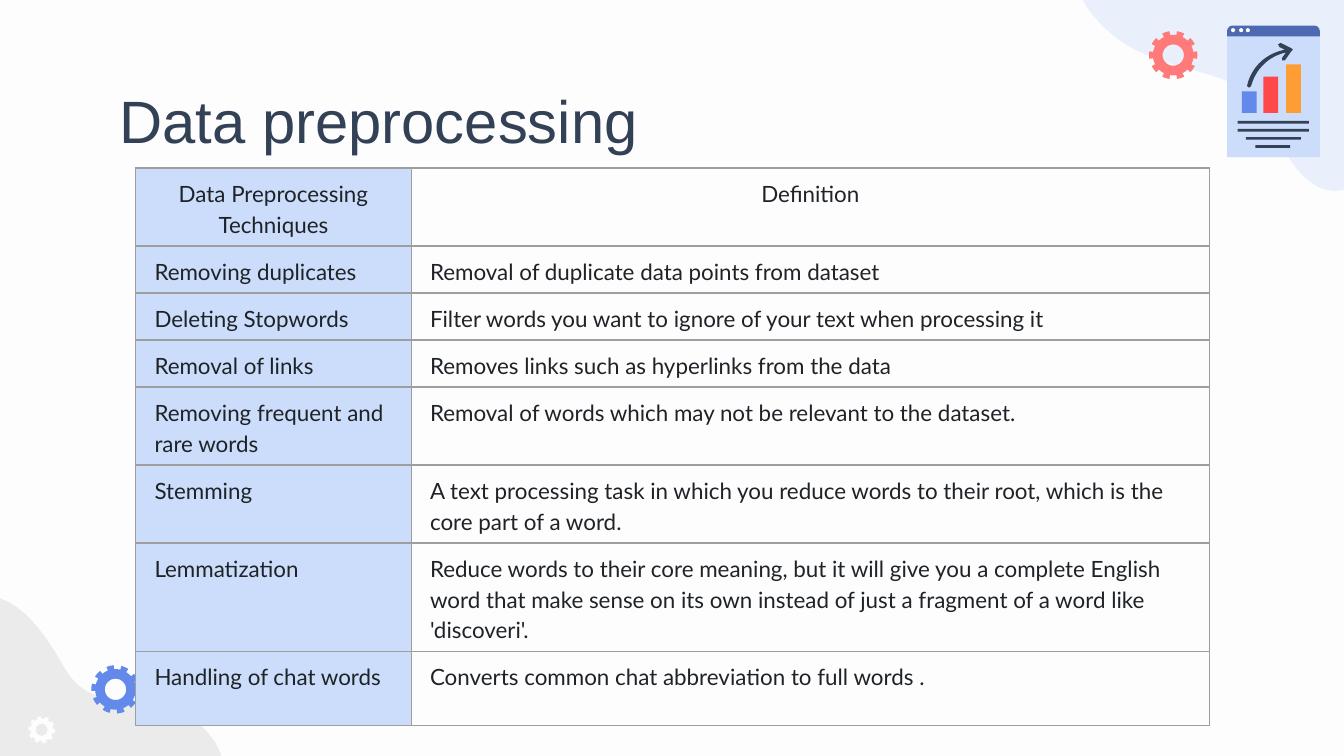
from math import cos, radians, sin

from lxml import etree
from pptx import Presentation
from pptx.dml.color import RGBColor
from pptx.enum.shapes import MSO_SHAPE
from pptx.enum.text import MSO_ANCHOR, MSO_AUTO_SIZE, PP_ALIGN
from pptx.oxml.ns import qn
from pptx.util import Pt

RECT, OVAL = MSO_SHAPE.RECTANGLE, MSO_SHAPE.OVAL
ROUND_TOP = MSO_SHAPE.ROUND_2_SAME_RECTANGLE
TOP, NO_FIT = MSO_ANCHOR.TOP, MSO_AUTO_SIZE.NONE
LEFT, CENTER = PP_ALIGN.LEFT, PP_ALIGN.CENTER

THEME = {
    "paper": "FDFDFD", "mist": "EBEBEB", "pale": "CBDDFA", "ink": "334157",
    "text": "1F2328", "border": "9E9E9E", "indigo": "4C69B2", "blue": "6389EB",
    "red": "FF4949", "orange": "FF9D35", "coral": "FF7A78",
    "title_font": "Arial", "body_font": "Lato", "title_size": 32, "body_size": 12,
    "border_width": 0.75,
}

TITLE = "Data preprocessing"
ROWS = [  # height, technique, definition
    (55, "Data Preprocessing Techniques", "Definition"),
    (34, "Removing duplicates", "Removal of duplicate data points from dataset"),
    (34, "Deleting Stopwords", "Filter words you want to ignore of your text when processing it"),
    (34, "Removal of links", "Removes links such as hyperlinks from the data"),
    (55, "Removing frequent and rare words",
     "Removal of words which may not be relevant to the dataset."),
    (55, "Stemming", "A text processing task in which you reduce words to their root, "
     "which is the core part of a word."),
    (78, "Lemmatization", "Reduce words to their core meaning, but it will give you a complete "
     "English word that make sense on its own instead of just a fragment of a word like "
     "'discoveri'."),
    (55, "Handling of chat words", "Converts common chat abbreviation to full words ."),
]
COLUMNS = (205, 594)

# Outlines: a start point, then (x, y) for a line or six numbers for a cubic curve.
TOP_BLOB = [
    (904, -193), (905, -195, 907, -196, 911, -198), (958, -220, 1014, -139, 1054, -92),
    (1078, -66, 1076, -70, 1120, -29), (1155, 3, 1150, 30, 1134, 42),
    (1132, 43, 1124, 48, 1119, 49), (1094, 53, 1083, 51, 1038, 111),
    (992, 170, 964, 135, 944, 89), (924, 43, 862, 62, 820, 19),
    (778, -23, 810, -54, 853, -79), (895, -105, 855, -158, 904, -193),
]
BOTTOM_BLOB = [
    (160, 552), (161, 554, 162, 556, 164, 560), (185, 608, 101, 660, 54, 699),
    (26, 722, 31, 721, -12, 763), (-45, 796, -72, 791, -83, 775),
    (-85, 773, -89, 764, -89, 759), (-93, 734, -91, 723, -148, 676),
    (-206, 628, -170, 602, -124, 583), (-77, 564, -93, 502, -50, 462),
    (-6, 421, 24, 454, 48, 497), (72, 541, 126, 502, 160, 552),
]
TREND_ARROW = [
    (962, 37), (961, 36), (953, 32), (951, 33), (952, 35), (956, 37),
    (932, 42, 928, 63, 928, 64), (929, 65), (930, 65), (931, 64),
    (931, 64, 935, 44, 957, 39), (954, 43), (954, 45), (956, 45), (961, 38),
]
REPORT_ICON = [  # shape, left, top, width, height, colour
    (RECT, 913, 27, 69, 90, "pale"),
    (ROUND_TOP, 913, 19, 69, 8, "indigo"),
    *[(OVAL, left, 21, 3, 3, "paper") for left in (916, 922, 927)],
    (RECT, 924, 68, 11, 16, "blue"),
    (RECT, 940, 57, 11, 27, "red"),
    (RECT, 957, 48, 11, 36, "orange"),
    *[(RECT, left, 90 + 6 * line, width, 2, "ink")
      for line, (left, width) in enumerate([(921, 53), (921, 53), (927, 41), (934, 26)])],
]
GEARS = [  # centre x, centre y, radius, turn in degrees, colour
    (873, 41, 18, 0, "coral"),
    (86, 513, 18, 5, "blue"),
    (31, 543, 10, 6, "paper"),
]
TEETH = 10


def px(length):
    """EMU for a length in px, at 100 px to the inch."""
    return round(length * 9144)


def color(name):
    return RGBColor.from_string(THEME[name])


def paint(shape, name):
    shape.shadow.inherit = False
    shape.fill.solid()
    shape.fill.fore_color.rgb = color(name)
    shape.line.fill.background()


def flatten(outline, steps=16):
    """Turn lines and cubic curves into a list of points."""
    points = [outline[0]]
    for part in outline[1:]:
        if len(part) == 2:
            points.append(part)
            continue
        x0, y0 = points[-1]
        x1, y1, x2, y2, x3, y3 = part
        for step in range(1, steps + 1):
            t = step / steps
            a, b, c, d = (1 - t) ** 3, 3 * t * (1 - t) ** 2, 3 * t * t * (1 - t), t ** 3
            points.append((a * x0 + b * x1 + c * x2 + d * x3,
                           a * y0 + b * y1 + c * y2 + d * y3))
    return points


def add_outline(slide, contours, name):
    scaled = [[(px(x), px(y)) for x, y in contour] for contour in contours]
    builder = slide.shapes.build_freeform(*scaled[0][0])
    builder.add_line_segments(scaled[0][1:], close=True)
    for contour in scaled[1:]:
        builder.move_to(*contour[0])
        builder.add_line_segments(contour[1:], close=True)
    shape = builder.convert_to_shape()
    paint(shape, name)
    return shape


def gear_contours(x, y, radius, turn):
    """Toothed rim and round hole; teeth and gaps take equal angles."""
    def at(distance, angle):
        return x + distance * cos(radians(angle)), y + distance * sin(radians(angle))

    half = 360 / TEETH / 4
    rim = []
    for tooth in range(TEETH):
        middle = turn + tooth * 360 / TEETH
        rim += [at(radius * 0.84, middle - half), at(radius, middle - half),
                at(radius, middle), at(radius, middle + half),
                at(radius * 0.84, middle + half), at(radius * 0.84, middle + 2 * half)]
    hole = [at(radius * 0.44, -angle) for angle in range(0, 360, 10)]
    return [rim, hole]


def add_span(para, text, font, size, name):
    span = para.add_run()
    span.text = text
    span.font.name = THEME[font]
    span.font.size = Pt(THEME[size])
    span.font.color.rgb = color(name)


def set_borders(cell):
    properties = cell._tc.get_or_add_tcPr()
    for side in ("a:lnL", "a:lnR", "a:lnT", "a:lnB"):
        line = etree.SubElement(properties, qn(side), w=str(Pt(THEME["border_width"])))
        fill = etree.SubElement(line, qn("a:solidFill"))
        etree.SubElement(fill, qn("a:srgbClr"), val=THEME["border"])


def add_title(slide):
    title = slide.shapes.title
    title.left, title.top, title.width, title.height = map(px, (79, 49, 843, 63))
    frame = title.text_frame
    frame.auto_size, frame.vertical_anchor, frame.word_wrap = NO_FIT, TOP, True
    frame.margin_left = frame.margin_right = frame.margin_bottom = px(10)
    frame.margin_top = px(13)
    para = frame.paragraphs[0]
    para.alignment = LEFT
    add_span(para, TITLE, "title_font", "title_size", "ink")


def add_decoration(slide):
    blob = add_outline(slide, [flatten(TOP_BLOB)], "pale")
    tint = blob.fill._xPr.find(f"{qn('a:solidFill')}/{qn('a:srgbClr')}")
    etree.SubElement(tint, qn("a:alpha"), val="39000")
    add_outline(slide, [flatten(BOTTOM_BLOB)], "mist")
    for kind, left, top, width, height, name in REPORT_ICON:
        shape = slide.shapes.add_shape(kind, *map(px, (left, top, width, height)))
        paint(shape, name)
        if kind == ROUND_TOP:
            shape.adjustments[0] = 0.5
    add_outline(slide, [flatten(TREND_ARROW)], "ink")
    for x, y, radius, turn, name in GEARS:
        add_outline(slide, gear_contours(x, y, radius, turn), name)


def add_techniques_table(slide):
    height = sum(row[0] for row in ROWS)
    table = slide.shapes.add_table(len(ROWS), len(COLUMNS), px(101), px(125),
                                   px(sum(COLUMNS)), px(height)).table
    table.first_row = table.horz_banding = False
    for column, width in zip(table.columns, COLUMNS):
        column.width = px(width)
    for row, (row_height, *texts) in enumerate(ROWS):
        table.rows[row].height = px(row_height)
        for column, text in enumerate(texts):
            cell = table.cell(row, column)
            set_borders(cell)
            if column == 0:
                cell.fill.solid()
                cell.fill.fore_color.rgb = color("pale")
            else:
                cell.fill.background()
            cell.margin_left = cell.margin_right = px(14)
            cell.margin_top = cell.margin_bottom = px(6)
            para = cell.text_frame.paragraphs[0]
            para.alignment = CENTER if row == 0 else LEFT
            para.line_spacing, para.space_after = 1.15, Pt(12)
            add_span(para, text, "body_font", "body_size", "text")


def main():
    deck = Presentation()
    deck.slide_width, deck.slide_height = px(1000), px(1000) * 9 // 16
    slide = deck.slides.add_slide(deck.slide_layouts[5])
    slide.background.fill.solid()
    slide.background.fill.fore_color.rgb = color("paper")
    add_decoration(slide)
    add_title(slide)
    add_techniques_table(slide)
    deck.save("out.pptx")


if __name__ == "__main__":
    main()
